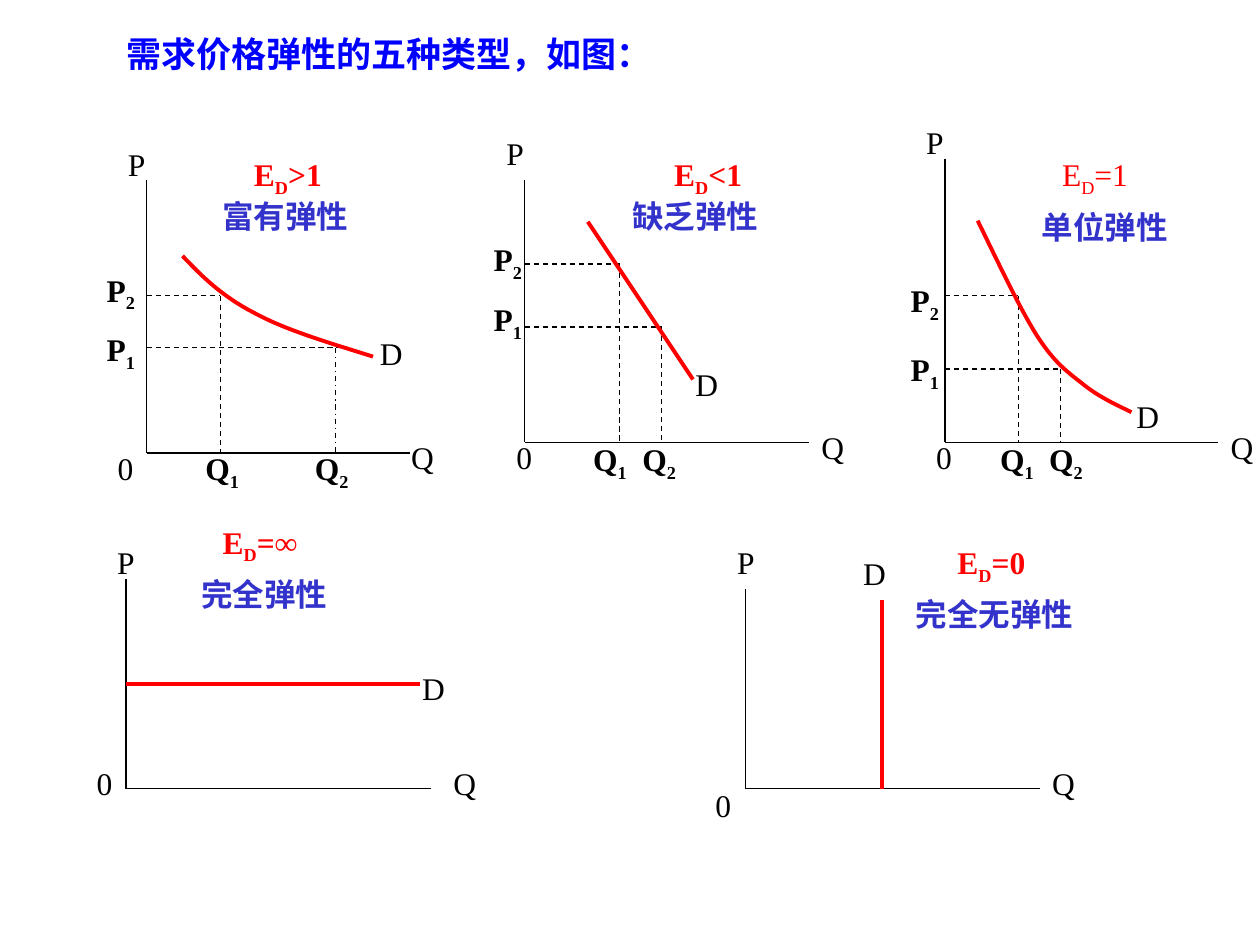
import pptx
import pptx.util
from pptx.dml.color import RGBColor
from pptx.enum.dml import MSO_LINE
from pptx.enum.shapes import MSO_CONNECTOR
from pptx.enum.text import MSO_ANCHOR, MSO_AUTO_SIZE, PP_ALIGN
from pptx.oxml.ns import qn
from lxml import etree

Cm, Pt = pptx.util.Cm, pptx.util.Pt
FONT = "Times New Roman"
COLORS = {"title": "0000FF", "name": "3333CC", "demand": "FF0000", "ink": "000000"}
DASH, DASH_DOT = MSO_LINE.DASH, MSO_LINE.DASH_DOT

# Boxes are (left, top, width, height) of the axes; all other places, in cm,
# are relative to the top left of the box. Texts are (x, y, width).
# Guides are (end of horizontal, x of vertical, y, dash).
# A demand curve is a start point followed by control, control, end triples.
DIAGRAMS = [
    dict(box=(2.96, 3.63, 5.3, 5.5), relation=">1", relation_at=(1.91, -0.63, 2.11),
         name="富有弹性", name_at=(1.27, 0.21, 3.81),
         letters={"P": (-0.63, -0.84, 1.27), "0": (-0.84, 5.29, 1.07),
                  "Q": (5.08, 5.08, 1.47), "D": (4.45, 2.97, 1.47)},
         points={"P1": (-1.06, 2.9, 1.19), "P2": (-1.06, 1.7, 1.19),
                 "Q1": (0.93, 5.29, 1.8), "Q2": (3.14, 5.29, 1.8)},
         guides=[(1.48, 1.48, 2.33, DASH), (4.02, 3.81, 3.38, DASH_DOT)],
         demand=[(0.72, 1.53), (1.1, 1.93), (1.51, 2.34), (2.15, 2.67),
                 (2.78, 3.02), (3.67, 3.28), (4.56, 3.56)]),
    dict(box=(10.58, 3.63, 5.72, 5.29), relation="<1", relation_at=(2.76, -0.63, 2.77),
         name="缺乏弹性", name_at=(1.92, 0.21, 3.6),
         letters={"P": (-0.62, -1.06, 1.27), "0": (-0.42, 5.08, 1.07),
                  "Q": (5.73, 4.88, 1.47), "D": (3.19, 3.61, 1.47)},
         points={"P1": (-0.88, 2.29, 1.19), "P2": (-0.88, 1.09, 1.19),
                 "Q1": (1.13, 5.11, 1.4), "Q2": (2.12, 5.11, 1.4)},
         guides=[(1.91, 1.91, 1.69, DASH), (2.76, 2.76, 2.96, DASH)],
         demand=[(1.27, 0.84), (3.39, 4.02)]),
    dict(box=(19.05, 3.2, 5.5, 5.72), relation="=1", relation_at=(2.11, -0.2, 2.11),
         name="单位弹性", name_at=(1.7, 0.86, 3.6), bold=False,
         letters={"P": (-0.63, -0.84, 1.27), "0": (-0.43, 5.51, 1.07),
                  "Q": (5.51, 5.31, 0.84), "D": (3.61, 4.67, 1.47)},
         points={"P1": (-0.94, 3.73, 1.19), "P2": (-0.94, 2.34, 1.19),
                 "Q1": (0.86, 5.54, 1.4), "Q2": (1.85, 5.54, 1.8)},
         guides=[(1.48, 1.48, 2.76, DASH), (2.33, 2.33, 4.24, DASH)],
         demand=[(0.66, 1.25), (1.09, 2.13), (1.5, 3.0), (1.85, 3.56), (2.21, 4.12),
                 (2.46, 4.29), (2.79, 4.55), (3.1, 4.8), (3.43, 4.95), (3.76, 5.11)]),
    dict(box=(2.54, 11.67, 6.14, 4.23), relation="=∞", relation_at=(1.7, -1.26, 2.87),
         name="完全弹性", name_at=(1.27, -0.21, 3.6),
         letters={"P": (-0.43, -0.85, 1.27), "0": (-0.84, 3.6, 1.07),
                  "Q": (6.35, 3.6, 1.47), "D": (5.72, 1.69, 1.47)},
         demand=[(0, 2.12), (5.92, 2.12)]),
    dict(box=(15.03, 11.88, 5.93, 4.02), relation="=0", relation_at=(4.02, -1.06, 2.11),
         name="完全无弹性", name_at=(3.18, 0, 4.24),
         letters={"P": (-0.42, -1.06, 1.27), "0": (-0.86, 3.84, 1.07),
                  "Q": (5.93, 3.39, 1.47), "D": (2.12, -0.83, 1.47)},
         demand=[(2.75, 0.21), (2.75, 4.02)]),
]


def add_run(p, text, color, size=18, bold=False, subscript=False):
    r = p.add_run()
    r.text = text
    r.font.name, r.font.size, r.font.bold = FONT, Pt(size), bold
    r.font.color.rgb = RGBColor.from_string(COLORS[color])
    if subscript:
        r.font._element.set("baseline", "-25000")


def add_label(s, box, at, parts, color="ink", bold=False):
    """Write parts in one line; every second part is a subscript."""
    x, y, w = at
    h = 1.11 if len(parts) > 1 else 1.02
    sp = s.shapes.add_textbox(Cm(box[0] + x), Cm(box[1] + y), Cm(w), Cm(h))
    tf = sp.text_frame
    tf.word_wrap = True
    tf.auto_size = MSO_AUTO_SIZE.SHAPE_TO_FIT_TEXT
    for i, part in enumerate(parts):
        add_run(tf.paragraphs[0], part, color, bold=bold, subscript=i % 2 == 1)


def set_line(sp, color, width, dash=None):
    sp.line.color.rgb = RGBColor.from_string(COLORS[color])
    sp.line.width = Pt(width)
    if dash:
        sp.line.dash_style = dash


def add_line(s, box, start, end, color="ink", width=0.75, dash=None):
    ends = [Cm(box[i] + pt[i]) for pt in (start, end) for i in (0, 1)]
    sp = s.shapes.add_connector(MSO_CONNECTOR.STRAIGHT, *ends)
    set_line(sp, color, width, dash)
    etree.SubElement(sp._element.spPr, qn("a:effectLst"))


def bezier(p0, p1, p2, p3, steps=16):
    for i in range(1, steps + 1):
        t = i / steps
        u = 1 - t
        yield tuple(u**3 * a + 3 * u * u * t * b + 3 * u * t * t * c + t**3 * d
                    for a, b, c, d in zip(p0, p1, p2, p3))


def add_curve(s, box, controls):
    pts = [controls[0]]
    for i in range(0, len(controls) - 1, 3):
        pts.extend(bezier(*controls[i:i + 4]))
    pts = [(Cm(box[0] + x), Cm(box[1] + y)) for x, y in pts]
    builder = s.shapes.build_freeform(*pts[0])
    builder.add_line_segments(pts[1:], close=False)
    sp = builder.convert_to_shape()
    sp.fill.background()
    sp.shadow.inherit = False
    set_line(sp, "demand", 2.25)


def add_diagram(s, box, relation, relation_at, name, name_at, letters, demand,
                points=None, guides=(), bold=True):
    w, h = box[2:]
    add_line(s, box, (0, 0), (0, h))
    add_line(s, box, (0, h), (w, h))
    for reach, x, y, dash in guides:
        add_line(s, box, (0, y), (reach, y), dash=DASH)
        add_line(s, box, (x, y), (x, h), dash=dash)
    if len(demand) == 2:
        add_line(s, box, *demand, color="demand", width=2.25)
    else:
        add_curve(s, box, demand)
    for letter, at in letters.items():
        add_label(s, box, at, [letter])
    for point, at in (points or {}).items():
        add_label(s, box, at, list(point), bold=True)
    add_label(s, box, relation_at, ["E", "D", relation], "demand", bold)
    add_label(s, box, name_at, [name], "name", True)


def add_title(s, x, y, w, h):
    sp = s.shapes.title
    sp.left, sp.top, sp.width, sp.height = Cm(x), Cm(y), Cm(w), Cm(h)
    tf = sp.text_frame
    tf.word_wrap = True
    tf.auto_size = MSO_AUTO_SIZE.NONE
    tf.vertical_anchor = MSO_ANCHOR.TOP
    p = tf.paragraphs[0]
    p.alignment = PP_ALIGN.LEFT
    add_run(p, "需求价格弹性的五种类型，如图：", "title", 20, True)


def main():
    prs = pptx.Presentation()
    prs.slide_width, prs.slide_height = Cm(25.4), Cm(19.05)
    s = prs.slides.add_slide(prs.slide_layouts[5])
    add_title(s, 2.29, 0.53, 15.19, 1.12)
    for diagram in DIAGRAMS:
        add_diagram(s, **diagram)
    prs.save("out.pptx")


if __name__ == "__main__":
    main()
